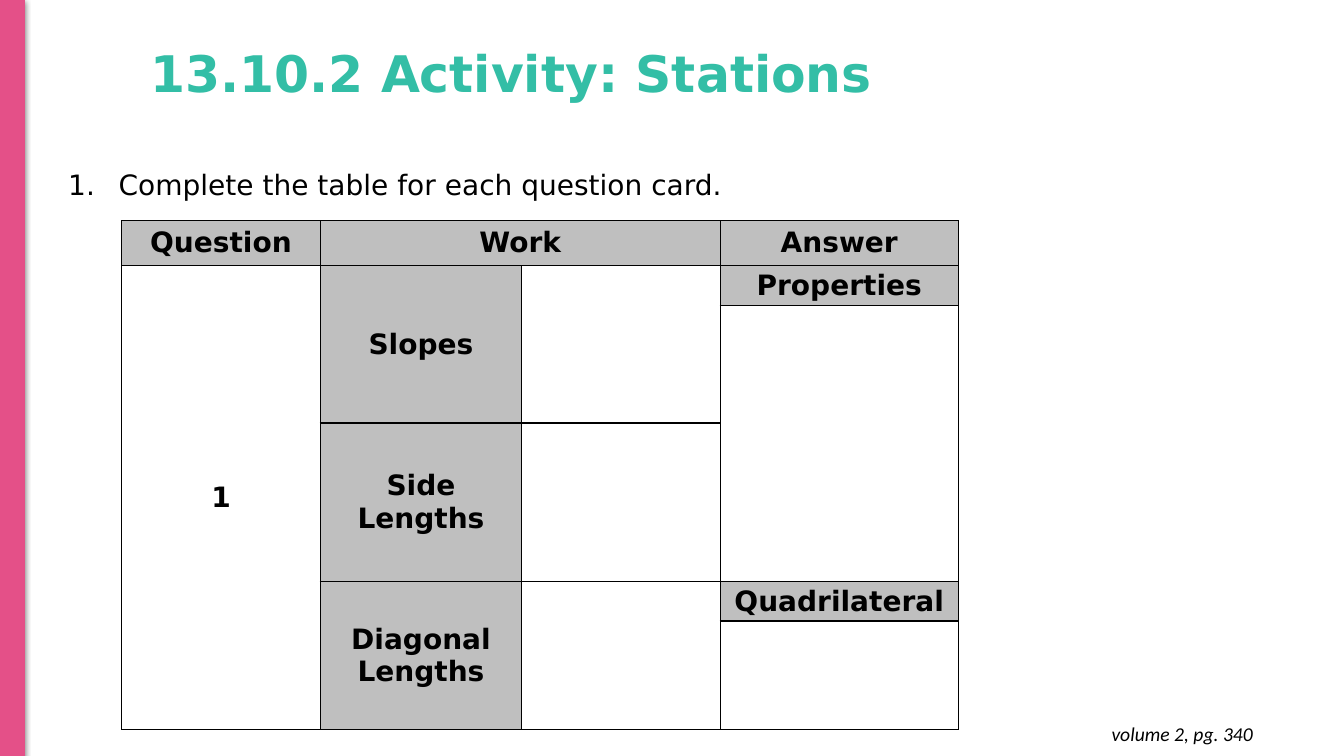
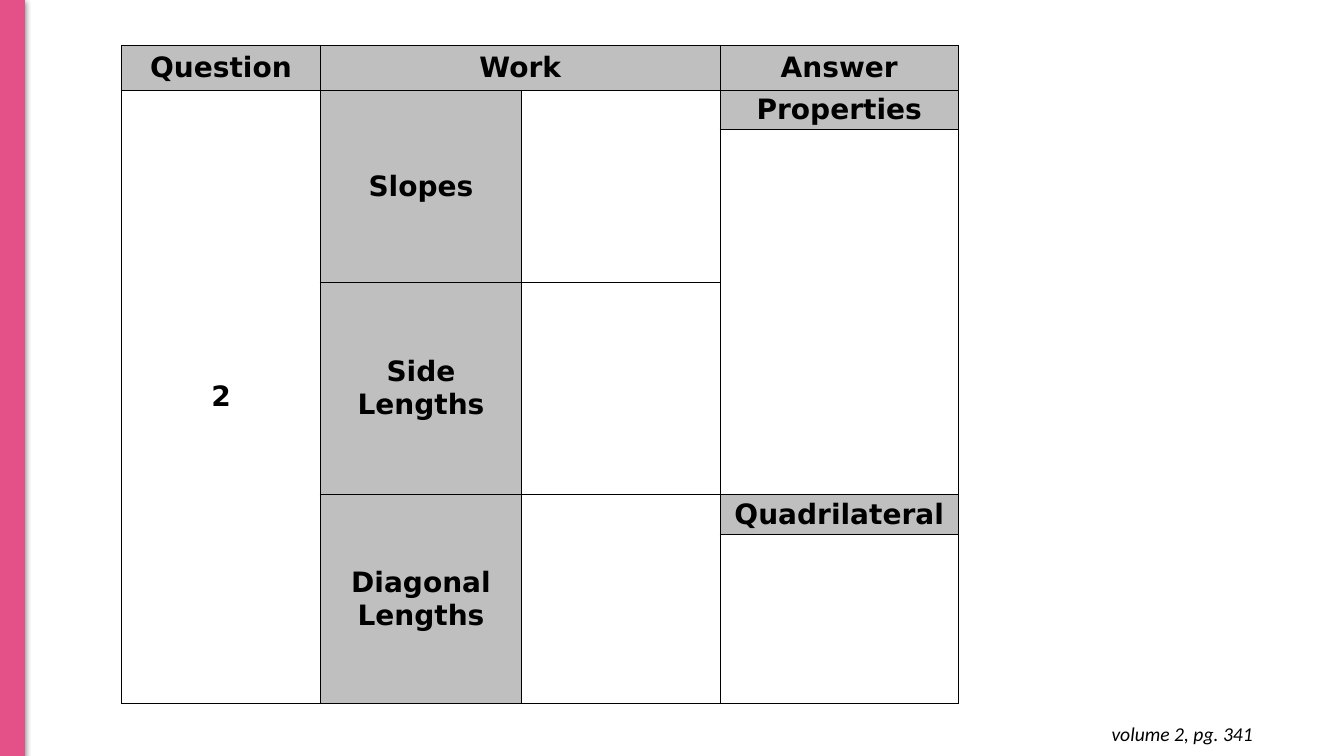
from lxml.etree import SubElement
from pptx import Presentation
from pptx.dml.color import RGBColor
from pptx.enum.shapes import MSO_SHAPE
from pptx.enum.text import MSO_ANCHOR, MSO_AUTO_SIZE, PP_ALIGN
from pptx.oxml import parse_xml
from pptx.oxml.ns import nsdecls, qn
from pptx.util import Cm, Pt

COLORS = {"pink": "E45088", "teal": "33BEA6", "gray": "BFBFBF", "black": "000000"}
BODY_FONT = "DejaVu Sans"
FOOTER_FONT = "Calibri"
SLIDE_WIDTH, SLIDE_HEIGHT = 33.87, 19.05
COLUMN_WIDTHS = [5, 5.08, 5, 6]
HEADER_HEIGHT, LABEL_HEIGHT = 1.14, 0.99


def color(name):
    return RGBColor.from_string(COLORS[name])


def write(frame, text, size=20, font=BODY_FONT, fill="black", bold=False,
          italic=False, align=PP_ALIGN.LEFT, spacing=None):
    paragraph = frame.paragraphs[0]
    paragraph.alignment = align
    if spacing:
        paragraph.line_spacing = spacing
    run = paragraph.add_run()
    run.text = text
    run.font.size = Pt(size)
    run.font.name = font
    run.font.bold = bold
    run.font.italic = italic
    run.font.color.rgb = color(fill)
    return paragraph


def add_borders(cell):
    properties = cell._tc.get_or_add_tcPr()
    for position, side in enumerate(("lnL", "lnR", "lnT", "lnB")):
        line = parse_xml(
            f'<a:{side} {nsdecls("a")} w="12700"><a:solidFill>'
            f'<a:srgbClr val="{COLORS["black"]}"/></a:solidFill></a:{side}>')
        properties.insert(position, line)


class Deck:
    def __init__(self):
        self.presentation = Presentation()
        self.presentation.slide_width = Cm(SLIDE_WIDTH)
        self.presentation.slide_height = Cm(SLIDE_HEIGHT)
        self.slide = None

    def add_slide(self, page, title=None):
        layout = self.presentation.slide_layouts[5 if title else 6]
        self.slide = self.presentation.slides.add_slide(layout)
        self.add_band()
        if title:
            self.add_title(title)
        self.add_footer(f"volume 2, pg. {page}")

    def add_band(self):
        band = self.slide.shapes.add_shape(
            MSO_SHAPE.RECTANGLE, 0, 0, Cm(0.61), Cm(SLIDE_HEIGHT))
        band.fill.solid()
        band.fill.fore_color.rgb = color("pink")
        band.line.color.rgb = color("pink")
        band.line.width = Pt(0.75)
        band.shadow.inherit = False
        effects = band._element.spPr.find(qn("a:effectLst"))
        effects.append(parse_xml(
            f'<a:outerShdw {nsdecls("a")} blurRad="{Pt(4.5)}" dist="{Pt(1.5)}" '
            f'dir="5400000" algn="bl" rotWithShape="0">'
            f'<a:srgbClr val="{COLORS["black"]}"><a:alpha val="50000"/></a:srgbClr>'
            f'</a:outerShdw>'))

    def add_title(self, text):
        title = self.slide.shapes.title
        title.left, title.top = Cm(3.53), Cm(0.08)
        title.width, title.height = Cm(22.28), Cm(3.68)
        frame = title.text_frame
        frame.auto_size = MSO_AUTO_SIZE.NONE
        frame.vertical_anchor = MSO_ANCHOR.MIDDLE
        write(frame, text, size=36, fill="teal", bold=True, spacing=0.9)

    def add_text_box(self, left, top, width, height):
        box = self.slide.shapes.add_textbox(Cm(left), Cm(top), Cm(width), Cm(height))
        frame = box.text_frame
        frame.word_wrap = True
        frame.auto_size = MSO_AUTO_SIZE.SHAPE_TO_FIT_TEXT
        return frame

    def add_footer(self, text):
        frame = self.add_text_box(24.51, 17.93, 7.32, 1.12)
        frame.margin_top = frame.margin_bottom = Cm(0.25)
        write(frame, text, size=14, font=FOOTER_FONT, italic=True, align=PP_ALIGN.RIGHT)

    def add_numbered_item(self, text):
        paragraph = write(self.add_text_box(1.47, 4.09, 22.2, 1.12), text)
        properties = paragraph._p.get_or_add_pPr()
        properties.set("marL", str(Cm(1.27)))
        properties.set("indent", str(-Cm(1.27)))
        bullet_color = SubElement(properties, qn("a:buClr"))
        SubElement(bullet_color, qn("a:srgbClr"), val=COLORS["black"])
        SubElement(properties, qn("a:buAutoNum"), type="arabicPeriod")

    def add_station_table(self, question, top, slopes, sides, diagonals):
        heights = [HEADER_HEIGHT, LABEL_HEIGHT, slopes, sides, LABEL_HEIGHT, diagonals]
        table = self.slide.shapes.add_table(
            len(heights), len(COLUMN_WIDTHS), Cm(3.07), Cm(top),
            Cm(sum(COLUMN_WIDTHS)), Cm(sum(heights))).table
        table.first_row = table.horz_banding = False
        for column, width in zip(table.columns, COLUMN_WIDTHS):
            column.width = Cm(width)
        for row, height in zip(table.rows, heights):
            row.height = Cm(height)
        for cell in table.iter_cells():
            cell.fill.background()
            cell.margin_left = cell.margin_right = Cm(0.1)
            cell.margin_top = cell.margin_bottom = 0
            cell.vertical_anchor = MSO_ANCHOR.MIDDLE
            add_borders(cell)
        merges = [((0, 1), (0, 2)), ((1, 0), (5, 0)), ((1, 1), (2, 1)), ((1, 2), (2, 2)),
                  ((2, 3), (3, 3)), ((4, 1), (5, 1)), ((4, 2), (5, 2))]
        for first, last in merges:
            table.cell(*first).merge(table.cell(*last))
        labels = {(0, 0): "Question", (0, 1): "Work", (0, 3): "Answer",
                  (1, 1): "Slopes", (1, 3): "Properties", (3, 1): "Side Lengths",
                  (4, 1): "Diagonal Lengths", (4, 3): "Quadrilateral"}
        for position, label in labels.items():
            cell = table.cell(*position)
            cell.fill.solid()
            cell.fill.fore_color.rgb = color("gray")
            write(cell.text_frame, label, bold=True, align=PP_ALIGN.CENTER)
        write(table.cell(1, 0).text_frame, question, bold=True, align=PP_ALIGN.CENTER)


def main():
    deck = Deck()
    deck.add_slide(340, title="13.10.2 Activity: Stations")
    deck.add_numbered_item("Complete the table for each question card.")
    deck.add_station_table("1", top=5.56, slopes=2.97, sides=4, diagonals=2.74)
    deck.add_slide(341)
    deck.add_station_table("2", top=1.14, slopes=3.84, sides=5.36, diagonals=4.27)
    deck.presentation.save("out.pptx")


if __name__ == "__main__":
    main()
